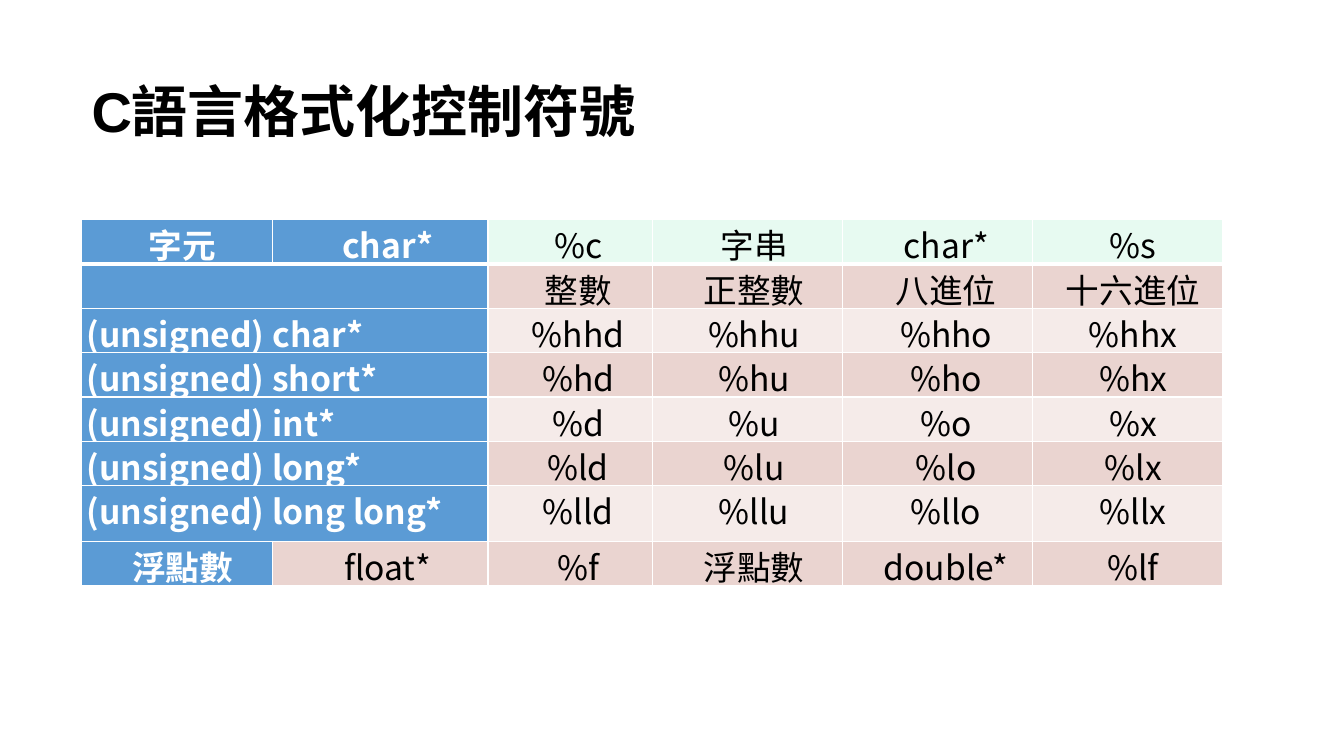
"""Build a slide with a table of C format specifiers."""
from lxml.etree import SubElement
from pptx import Presentation
from pptx.dml.color import RGBColor
from pptx.enum.text import MSO_ANCHOR, PP_ALIGN
from pptx.oxml.ns import qn
from pptx.util import Inches, Pt

TITLE = "C語言格式化控制符號"
ROWS = [
    ("字元", "char*", "%c", "字串", "char*", "%s"),
    ("", None, "整數", "正整數", "八進位", "十六進位"),
    ("(unsigned) char*", None, "%hhd", "%hhu", "%hho", "%hhx"),
    ("(unsigned) short*", None, "%hd", "%hu", "%ho", "%hx"),
    ("(unsigned) int*", None, "%d", "%u", "%o", "%x"),
    ("(unsigned) long*", None, "%ld", "%lu", "%lo", "%lx"),
    ("(unsigned) long long*", None, "%lld", "%llu", "%llo", "%llx"),
    ("浮點數", "float*", "%f", "浮點數", "double*", "%lf"),
]
COLUMN_WIDTHS = [1.89, 2.14, 1.63, 1.89, 1.88, 1.89]
COLUMN_INDENTS = [0.11, 0.15, 0.16, 0.13, 0.17, 0.11]
LABEL_INDENT = 0.01
ROW_HEIGHTS = [0.44] * 6 + [0.55, 0.44]
LEFT, WIDTH = 0.81, 11.32
TITLE_TOP, TITLE_HEIGHT, TABLE_TOP = 0.42, 1.43, 2.18
COLORS = {"label": "5B9BD5", "mint": "E7FAF1", "pink": "EAD4D0",
          "pale": "F5EBE9", "white": "FFFFFF", "black": "000000"}
LATIN, CJK = "Arial", "Noto Sans CJK TC"


def add_run(paragraph, text, size, font_name, color, bold):
    run = paragraph.add_run()
    run.text = text
    font = run.font
    font.size, font.name, font.bold = Pt(size), font_name, bold
    font.color.rgb = RGBColor.from_string(COLORS[color])
    SubElement(font._element, qn("a:ea")).set("typeface", CJK)


def add_title(slide):
    box = slide.shapes.add_textbox(
        *map(Inches, (LEFT, TITLE_TOP, WIDTH, TITLE_HEIGHT)))
    frame = box.text_frame
    frame.word_wrap = True
    frame.vertical_anchor = MSO_ANCHOR.MIDDLE
    paragraph = frame.paragraphs[0]
    paragraph.line_spacing = 0.9
    add_run(paragraph, TITLE, 40, LATIN, "black", True)


def add_borders(cell, row):
    properties = cell._tc.get_or_add_tcPr()
    widths = {"L": 1, "R": 1, "T": 3 if row == 1 else 1, "B": 3 if row == 0 else 1}
    for side, width in widths.items():
        line = SubElement(properties, qn(f"a:ln{side}"), w=str(Pt(width)))
        fill = SubElement(line, qn("a:solidFill"))
        SubElement(fill, qn("a:srgbClr"), val=COLORS["white"])


def fill_cell(cell, row, column, text, spans):
    is_label = column == 0 or (column == 1 and (row == 0 or spans))
    body = "mint" if row == 0 else "pink" if row % 2 else "pale"
    add_borders(cell, row)
    cell.fill.solid()
    cell.fill.fore_color.rgb = RGBColor.from_string(COLORS["label" if is_label else body])
    cell.margin_left = cell.margin_right = Inches(0.04)
    cell.margin_top = cell.margin_bottom = 0
    if not text:
        return
    wide = spans and column == 0
    paragraph = cell.text_frame.paragraphs[0]
    paragraph.alignment = PP_ALIGN.JUSTIFY if wide else PP_ALIGN.CENTER
    indent = LABEL_INDENT if wide else COLUMN_INDENTS[column]
    paragraph._p.get_or_add_pPr().set("indent", str(Inches(indent)))
    add_run(paragraph, text, 24, CJK, "white" if is_label else "black", is_label)


def add_specifier_table(slide):
    table = slide.shapes.add_table(
        len(ROWS), len(COLUMN_WIDTHS),
        *map(Inches, (LEFT, TABLE_TOP, WIDTH, sum(ROW_HEIGHTS)))).table
    table.first_row = table.horz_banding = False
    for column, width in zip(table.columns, COLUMN_WIDTHS):
        column.width = Inches(width)
    for row, height in zip(table.rows, ROW_HEIGHTS):
        row.height = Inches(height)
    for row, texts in enumerate(ROWS):
        spans = texts[1] is None
        if spans:
            table.cell(row, 0).merge(table.cell(row, 1))
        for column, text in enumerate(texts):
            fill_cell(table.cell(row, column), row, column, text, spans)


def main():
    presentation = Presentation()
    presentation.slide_width = Inches(13.33)
    presentation.slide_height = Inches(7.5)
    slide = presentation.slides.add_slide(presentation.slide_layouts[6])
    add_title(slide)
    add_specifier_table(slide)
    presentation.save("out.pptx")


if __name__ == "__main__":
    main()
